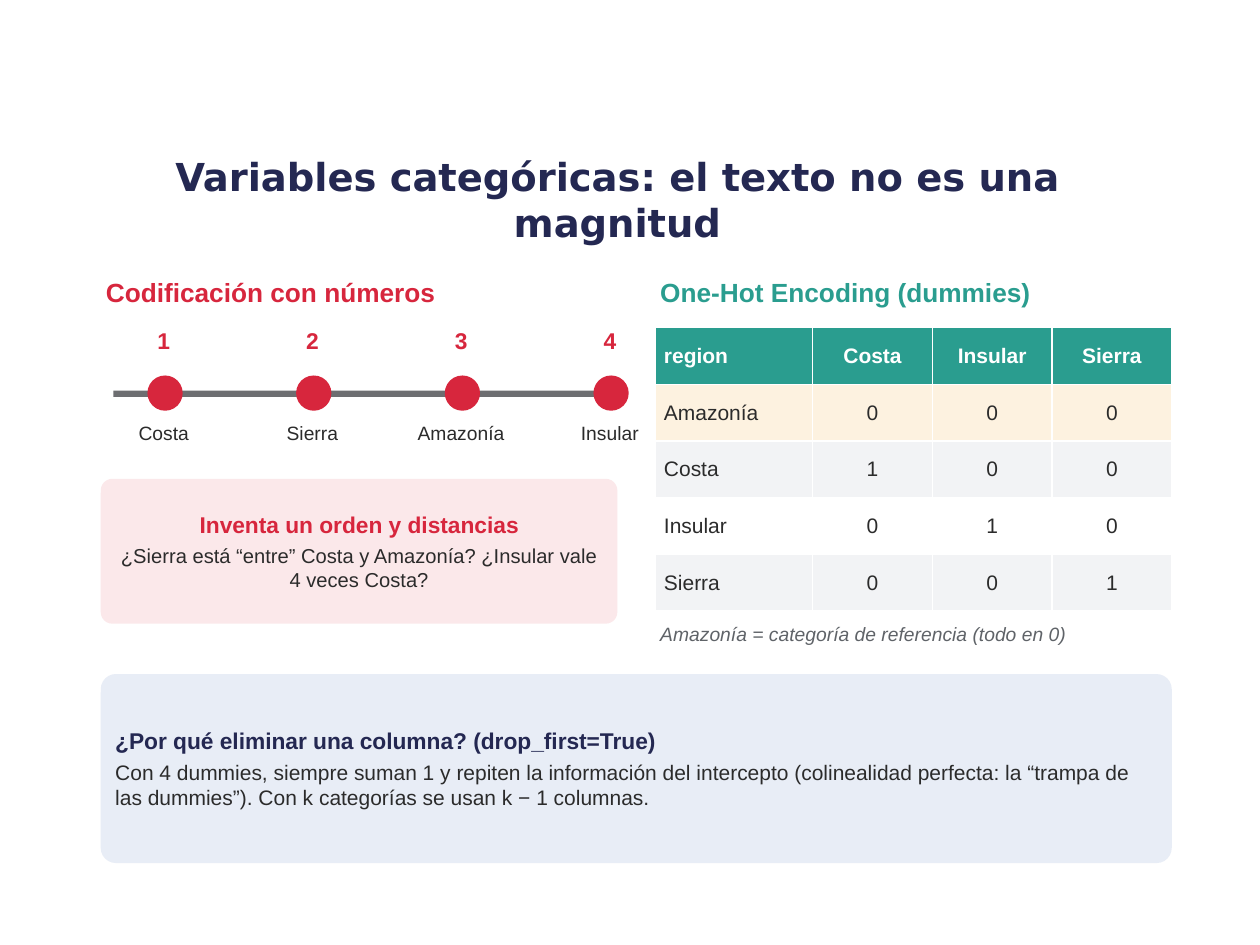
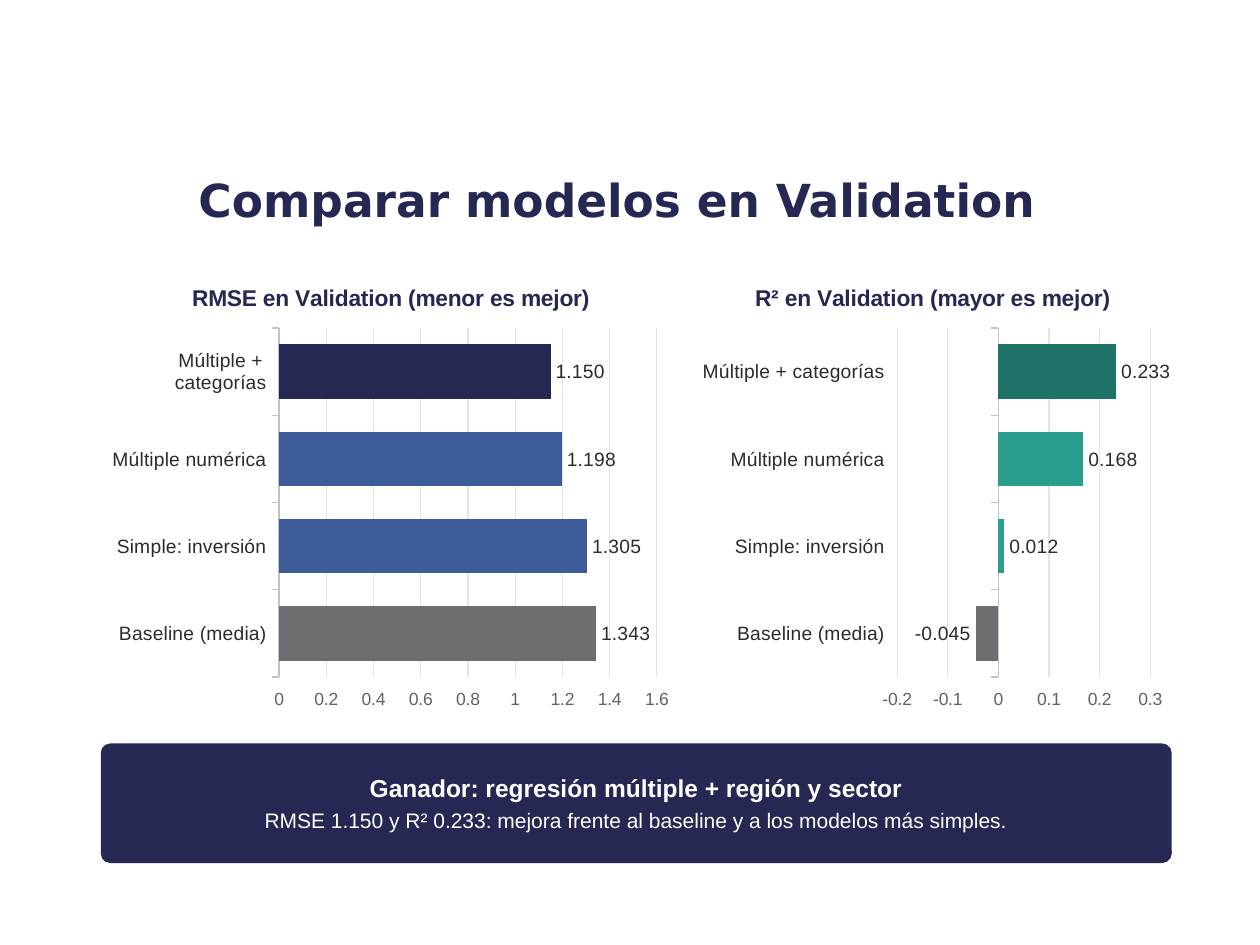
import pptx
import pptx.chart.data
import pptx.dml.color
import pptx.enum.chart
import pptx.enum.shapes
import pptx.enum.text
import pptx.util

Inches = pptx.util.Inches
Pt = pptx.util.Pt
RGBColor = pptx.dml.color.RGBColor
Align = pptx.enum.text.PP_ALIGN
Anchor = pptx.enum.text.MSO_ANCHOR
Shape = pptx.enum.shapes.MSO_SHAPE
Ticks = pptx.enum.chart.XL_TICK_LABEL_POSITION
Spot = pptx.enum.chart.XL_LABEL_POSITION
Kind = pptx.enum.chart.XL_CHART_TYPE

NAVY = RGBColor(0x24, 0x28, 0x52)
BLUE = RGBColor(0x3D, 0x5A, 0x99)
RED = RGBColor(0xD7, 0x26, 0x3D)
TEAL = RGBColor(0x2A, 0x9D, 0x8F)
PINE = RGBColor(0x1F, 0x72, 0x68)
INK = RGBColor(0x2B, 0x2B, 0x2B)
MUTED = RGBColor(0x5F, 0x63, 0x68)
GRAY = RGBColor(0x6D, 0x6E, 0x71)
AXIS = RGBColor(0xBF, 0xC3, 0xC9)
GRID = RGBColor(0xE3, 0xE5, 0xE8)
BAND = RGBColor(0xF2, 0xF3, 0xF5)
CREAM = RGBColor(0xFD, 0xF2, 0xE0)
ROSE = RGBColor(0xFB, 0xE8, 0xEA)
ICE = RGBColor(0xE8, 0xED, 0xF6)
WHITE = RGBColor(0xFF, 0xFF, 0xFF)

LEFT = 0.8
RIGHT = 5.2
HALF = 4.1
FULL = 8.5


class Deck:
    """Holds the shared style and the slide being filled."""

    body = "Arial"
    head = "DejaVu Sans"

    def __init__(self):
        self.show = pptx.Presentation()
        self.show.slide_width = Inches(10)
        self.show.slide_height = Inches(7.5)
        self.slide = None

    def start(self, title, size):
        self.slide = self.show.slides.add_slide(self.show.slide_layouts[6])
        box = self.text(0.75, 1.18, 8.3, 0.8, title, size, NAVY, bold=True,
                        align=Align.CENTER, face=self.head, inset=0.1)
        box.text_frame.vertical_anchor = Anchor.MIDDLE

    def style(self, font, size, color, bold=False, face=None):
        font.name = face or self.body
        font.size = Pt(size)
        font.bold = bold
        font.color.rgb = color

    def pad(self, item, side, edge):
        item.margin_left = item.margin_right = Inches(side)
        item.margin_top = item.margin_bottom = Inches(edge)

    def text(self, x, y, w, h, words, size, color, bold=False, italic=False,
             align=Align.LEFT, face=None, inset=0.04):
        box = self.slide.shapes.add_textbox(
            Inches(x), Inches(y), Inches(w), Inches(h))
        frame = box.text_frame
        frame.word_wrap = True
        self.pad(frame, inset, 0.04)
        line = frame.paragraphs[0]
        line.text = words
        line.alignment = align
        self.style(line.font, size, color, bold, face)
        line.font.italic = italic
        return box

    def shape(self, kind, x, y, w, h, fill):
        shape = self.slide.shapes.add_shape(
            kind, Inches(x), Inches(y), Inches(w), Inches(h))
        shape.shadow.inherit = False
        shape.fill.solid()
        shape.fill.fore_color.rgb = fill
        shape.line.fill.background()
        return shape

    def card(self, y, w, h, fill, head, note, align=Align.CENTER):
        """Rounded panel; head and note are (words, size, color)."""
        card = self.shape(Shape.ROUNDED_RECTANGLE, LEFT, y, w, h, fill)
        card.adjustments[0] = 0.08
        frame = card.text_frame
        frame.word_wrap = True
        frame.vertical_anchor = Anchor.MIDDLE
        self.pad(frame, 0.08, 0.08)
        for line, (words, size, color), bold in (
                (frame.paragraphs[0], head, True),
                (frame.add_paragraph(), note, False)):
            line.text = words
            line.alignment = align
            line.space_after = Pt(3)
            self.style(line.font, size, color, bold)

    def table(self, x, y, widths, height, rows, fills):
        grid = self.slide.shapes.add_table(
            len(rows), len(widths), Inches(x), Inches(y),
            Inches(sum(widths)), Inches(height * len(rows))).table
        for col, width in zip(grid.columns, widths):
            col.width = Inches(width)
        for r, (row, fill) in enumerate(zip(rows, fills)):
            for c, words in enumerate(row):
                cell = grid.cell(r, c)
                cell.fill.solid()
                cell.fill.fore_color.rgb = fill
                cell.vertical_anchor = Anchor.MIDDLE
                self.pad(cell, 0.07, 0.03)
                line = cell.text_frame.paragraphs[0]
                line.text = words
                line.alignment = Align.CENTER if c else Align.LEFT
                self.style(line.font, 12, INK if r else WHITE, bold=r == 0)

    def bars(self, x, w, title, names, values, colors, low, high, step):
        data = pptx.chart.data.CategoryChartData()
        data.categories = names
        data.add_series("Validation", values)
        chart = self.slide.shapes.add_chart(
            Kind.BAR_CLUSTERED, Inches(x), Inches(2.1), Inches(w),
            Inches(3.6), data).chart
        self.style(chart.font, 11, INK)
        chart.has_legend = False
        chart.has_title = True
        line = chart.chart_title.text_frame.paragraphs[0]
        line.text = title
        self.style(line.font, 13, NAVY, bold=True)
        chart.chart_title.include_in_layout = False

        axis = chart.category_axis
        axis.tick_label_position = Ticks.LOW
        axis.tick_labels.font.size = Pt(11)
        axis.format.line.color.rgb = AXIS
        axis.format.line.width = Pt(0.75)

        scale = chart.value_axis
        scale.minimum_scale, scale.maximum_scale = low, high
        scale.major_unit = step
        self.style(scale.tick_labels.font, 10, MUTED)
        scale.format.line.fill.background()
        scale.major_gridlines.format.line.color.rgb = GRID
        scale.major_gridlines.format.line.width = Pt(0.75)

        plot = chart.plots[0]
        plot.gap_width = 60
        plot.vary_by_categories = False
        series = plot.series[0]
        series.invert_if_negative = False
        for i, color in enumerate(colors):
            fill = series.points[i].format.fill
            fill.solid()
            fill.fore_color.rgb = color
        labels = series.data_labels
        labels.show_value = True
        labels.position = Spot.OUTSIDE_END
        labels.number_format = "0.000"
        labels.number_format_is_linked = False
        self.style(labels.font, 11, INK)


def codes(deck):
    deck.start("Variables categóricas: el texto no es una magnitud", 22)
    deck.text(LEFT, 2.15, HALF, 0.4, "Codificación con números", 15, RED,
              bold=True)
    deck.shape(Shape.RECTANGLE, 0.9, 3.1, 3.9, 0.05, GRAY)
    for i, place in enumerate(("Costa", "Sierra", "Amazonía", "Insular")):
        mid = 1.3 + 1.18 * i
        deck.shape(Shape.OVAL, mid - 0.13, 2.98, 0.28, 0.28, RED)
        deck.text(mid - 0.55, 2.55, 1.1, 0.4, str(i + 1), 13, RED,
                  bold=True, align=Align.CENTER)
        deck.text(mid - 0.6, 3.3, 1.2, 0.35, place, 11, INK,
                  align=Align.CENTER)
    deck.card(3.8, HALF, 1.15, ROSE,
              ("Inventa un orden y distancias", 13, RED),
              ("¿Sierra está “entre” Costa y Amazonía? "
               "¿Insular vale 4 veces Costa?", 11.5, INK))

    deck.text(RIGHT, 2.15, HALF, 0.4, "One-Hot Encoding (dummies)", 15, TEAL,
              bold=True)
    dummies = ["Costa", "Insular", "Sierra"]
    rows = [["region"] + dummies]
    for place in ["Amazonía"] + dummies:
        rows.append([place] + [str(int(place == name)) for name in dummies])
    deck.table(RIGHT, 2.6, [1.25, 0.95, 0.95, 0.95], 0.45, rows,
               [TEAL, CREAM, BAND, WHITE, BAND])
    deck.text(RIGHT, 4.9, HALF, 0.35,
              "Amazonía = categoría de referencia (todo en 0)", 11, MUTED,
              italic=True)

    deck.card(5.35, FULL, 1.5, ICE,
              ("¿Por qué eliminar una columna? (drop_first=True)", 13, NAVY),
              ("Con 4 dummies, siempre suman 1 y repiten la información del "
               "intercepto (colinealidad perfecta: la “trampa de las "
               "dummies”). Con k categorías se usan k − 1 columnas.",
               12, INK), Align.LEFT)


def scores(deck):
    deck.start("Comparar modelos en Validation", 26)
    models = ("Baseline (media)", "Simple: inversión", "Múltiple numérica",
              "Múltiple + categorías")
    deck.bars(LEFT, 4.6, "RMSE en Validation (menor es mejor)", models,
              (1.343, 1.305, 1.198, 1.15), (GRAY, BLUE, BLUE, NAVY),
              0, 1.6, 0.2)
    deck.bars(5.5, 3.8, "R² en Validation (mayor es mejor)", models,
              (-0.045, 0.012, 0.168, 0.233), (GRAY, TEAL, TEAL, PINE),
              -0.2, 0.3, 0.1)
    deck.card(5.9, FULL, 0.95, NAVY,
              ("Ganador: regresión múltiple + región y sector", 14, WHITE),
              ("RMSE 1.150 y R² 0.233: mejora frente al baseline y a los "
               "modelos más simples.", 12, WHITE))


def main():
    deck = Deck()
    codes(deck)
    scores(deck)
    deck.show.save("out.pptx")


if __name__ == "__main__":
    main()
